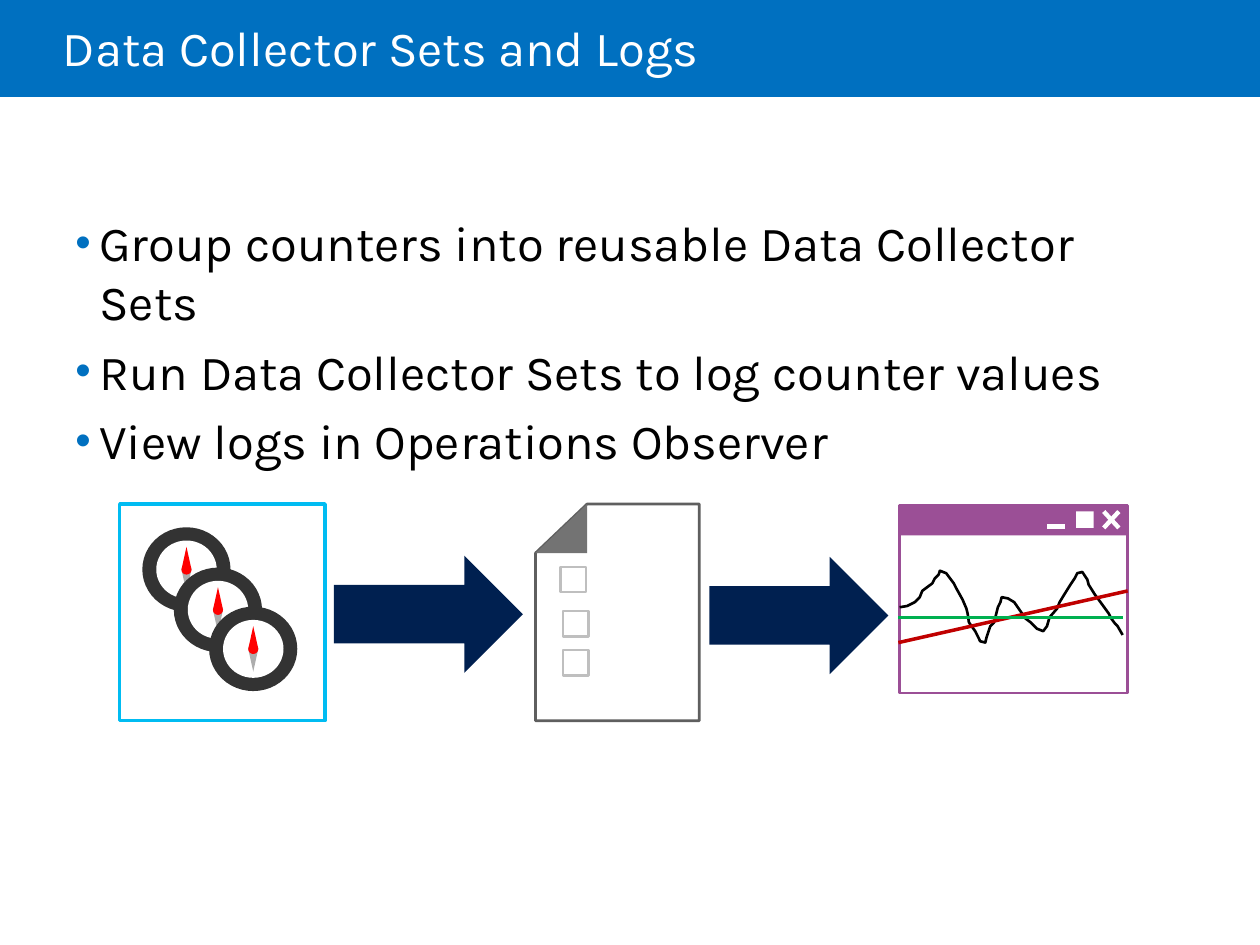
from math import cos, pi, sin

from lxml.etree import SubElement
from pptx import Presentation
from pptx.dml.color import RGBColor
from pptx.enum.shapes import MSO_CONNECTOR, MSO_SHAPE
from pptx.enum.text import MSO_ANCHOR
from pptx.oxml.ns import qn
from pptx.util import Inches, Pt

FONT = "Karla"
BLUE = RGBColor(0x00, 0x70, 0xC0)
NAVY = RGBColor(0x00, 0x20, 0x50)
CYAN = RGBColor(0x00, 0xBC, 0xF2)
PURPLE = RGBColor(0x9B, 0x4F, 0x96)
WHITE = RGBColor(0xFF, 0xFF, 0xFF)
BLACK = RGBColor(0x00, 0x00, 0x00)
RED = RGBColor(0xFF, 0x00, 0x00)
DARK_RED = RGBColor(0xC0, 0x00, 0x00)
GREEN = RGBColor(0x00, 0xB0, 0x50)
DIAL = RGBColor(0x33, 0x33, 0x33)
NEEDLE = RGBColor(0xAD, 0xAD, 0xAD)
PAGE_LINE = RGBColor(0x5F, 0x5F, 0x5F)
FOLD = RGBColor(0x73, 0x73, 0x73)
BOX_LINE = RGBColor(0xBF, 0xBF, 0xBF)

TITLE = "Data Collector Sets and Logs"
BULLETS = [
    "Group counters into reusable Data Collector Sets",
    "Run Data Collector Sets to log counter values",
    "View logs in Operations Observer",
]
COMPASS_CENTERS = [(1.48, 4.52), (1.73, 4.84), (2.01, 5.15)]
ARROWS = [(2.65, 4.41, 1.5, 0.93), (5.63, 4.42, 1.42, 0.93)]
PAGE = [(5.55, 5.72), (4.25, 5.72), (4.25, 4.39), (4.66, 4), (5.55, 4)]
PAGE_FOLD = [(4.66, 4.39), (4.25, 4.39), (4.66, 4)]
CHECKBOXES = [(4.45, 4.5), (4.47, 4.85), (4.47, 5.16)]
WINDOW_BUTTONS = [
    ((8.31, 4.18), (8.45, 4.18)),
    ((8.88, 4.06), (8.76, 4.19)),
    ((8.88, 4.19), (8.76, 4.06)),
]
TREND_LINES = [
    ((7.13, 5.1), (8.95, 4.69), DARK_RED),
    ((7.13, 4.9), (8.91, 4.9), GREEN),
]
COUNTER_CURVE = [
    (7.14, 4.82), (7.2, 4.81), (7.26, 4.78), (7.3, 4.74), (7.32, 4.69),
    (7.4, 4.63), (7.42, 4.59), (7.45, 4.56), (7.46, 4.53), (7.51, 4.55),
    (7.57, 4.63), (7.59, 4.67), (7.64, 4.76), (7.67, 4.83), (7.68, 4.87),
    (7.69, 4.94), (7.74, 5.01), (7.78, 5.09), (7.82, 5.1), (7.83, 5.06),
    (7.86, 4.97), (7.89, 4.94), (7.92, 4.82), (7.94, 4.78), (7.95, 4.74),
    (8, 4.75), (8.05, 4.78), (8.14, 4.91), (8.18, 4.94), (8.23, 4.99),
    (8.28, 5.01), (8.31, 4.97), (8.33, 4.9), (8.39, 4.83), (8.41, 4.78),
    (8.44, 4.73), (8.49, 4.65), (8.53, 4.59), (8.55, 4.55), (8.59, 4.54),
    (8.63, 4.6), (8.64, 4.64), (8.69, 4.72), (8.72, 4.76), (8.8, 4.87),
    (8.82, 4.91), (8.85, 4.95), (8.87, 4.97), (8.91, 5.04),
]


def style(sp, fill=None, line=None, width=1.5):
    sp.shadow.inherit = False
    if fill is None:
        sp.fill.background()
    else:
        sp.fill.solid()
        sp.fill.fore_color.rgb = fill
    if line is None:
        sp.line.fill.background()
    else:
        sp.line.color.rgb = line
        sp.line.width = Pt(width)


def add_preset(shapes, kind, box, **look):
    style(shapes.add_shape(kind, *map(Inches, box)), **look)


def add_outline(shapes, points, close=True, **look):
    pts = [(Inches(x), Inches(y)) for x, y in points]
    builder = shapes.build_freeform(*pts[0])
    builder.add_line_segments(pts[1:], close=close)
    style(builder.convert_to_shape(), **look)


def add_line(shapes, start, end, color, width):
    ends = map(Inches, (*start, *end))
    line = shapes.add_connector(MSO_CONNECTOR.STRAIGHT, *ends)
    line.line.color.rgb = color
    line.line.width = Pt(width)
    SubElement(line._element.spPr, qn("a:effectLst"))


def add_text_frame(shapes, box):
    tf = shapes.add_textbox(*map(Inches, box)).text_frame
    tf.word_wrap = True
    return tf


def add_run(p, text, color):
    r = p.add_run()
    r.text = text
    r.font.name = FONT
    r.font.size = Pt(28)
    r.font.color.rgb = color


def add_bullet(p):
    pPr = p._p.get_or_add_pPr()
    pPr.set("marL", str(Inches(0.19)))
    pPr.set("indent", str(-Inches(0.19)))
    color = SubElement(pPr, qn("a:buClr"))
    SubElement(color, qn("a:srgbClr")).set("val", str(BLUE))
    SubElement(pPr, qn("a:buSzPct")).set("val", "90000")
    SubElement(pPr, qn("a:buFont")).set("typeface", "Arial")
    SubElement(pPr, qn("a:buChar")).set("char", "•")


def add_compass(shapes, cx, cy):
    for w, h, color in [(0.7, 0.67, DIAL), (0.48, 0.46, WHITE)]:
        box = (cx - w / 2, cy - h / 2, w, h)
        add_preset(shapes, MSO_SHAPE.OVAL, box, fill=color)
    for direction, color in [(1, NEEDLE), (-1, RED)]:
        arc = [
            (cx + 0.04 * cos(i * pi / 8), cy - direction * 0.04 * sin(i * pi / 8))
            for i in range(9)
        ]
        add_outline(shapes, arc + [(cx, cy + direction * 0.18)], fill=color)


def add_window(shapes):
    add_preset(shapes, MSO_SHAPE.RECTANGLE, (7.14, 4.01, 1.81, 1.49), fill=WHITE, line=PURPLE)
    add_preset(shapes, MSO_SHAPE.RECTANGLE, (7.14, 4, 1.81, 0.25), fill=PURPLE)
    add_preset(shapes, MSO_SHAPE.RECTANGLE, (8.54, 4.06, 0.14, 0.13), fill=WHITE)
    for start, end in WINDOW_BUTTONS:
        add_line(shapes, start, end, WHITE, 2.5)
    add_outline(shapes, COUNTER_CURVE, close=False, line=BLACK)
    for start, end, color in TREND_LINES:
        add_line(shapes, start, end, color, 2)


def add_log_page(shapes):
    add_outline(shapes, PAGE, fill=WHITE, line=PAGE_LINE)
    add_outline(shapes, PAGE_FOLD, fill=FOLD)
    for x, y in CHECKBOXES:
        add_preset(shapes, MSO_SHAPE.FLOWCHART_PROCESS, (x, y, 0.2, 0.2), line=BOX_LINE)


def add_collector_set(shapes):
    add_preset(shapes, MSO_SHAPE.RECTANGLE, (0.95, 4, 1.63, 1.72), line=CYAN, width=2)
    for cx, cy in COMPASS_CENTERS:
        add_compass(shapes, cx, cy)


def main():
    prs = Presentation()
    prs.slide_width, prs.slide_height = Inches(10), Inches(7.5)
    s = prs.slides.add_slide(prs.slide_layouts[6])
    shapes = s.shapes

    add_preset(shapes, MSO_SHAPE.RECTANGLE, (0, 0, 10, 0.77), fill=BLUE)
    tf = add_text_frame(shapes, (0.5, 0, 8.5, 0.81))
    tf.margin_left = 0
    tf.vertical_anchor = MSO_ANCHOR.MIDDLE
    tf.paragraphs[0].line_spacing = 0.85
    add_run(tf.paragraphs[0], TITLE, WHITE)

    tf = add_text_frame(shapes, (0.5, 1.64, 8.88, 5.11))
    for i, text in enumerate(BULLETS):
        p = tf.add_paragraph() if i else tf.paragraphs[0]
        add_bullet(p)
        if i:
            p.space_before = Pt(6)
        add_run(p, text, BLACK)

    add_window(shapes.add_group_shape().shapes)
    for box in ARROWS:
        add_preset(shapes, MSO_SHAPE.RIGHT_ARROW, box, fill=NAVY)
    add_log_page(shapes.add_group_shape().shapes)
    add_collector_set(shapes.add_group_shape().shapes)

    prs.save("out.pptx")


if __name__ == "__main__":
    main()
